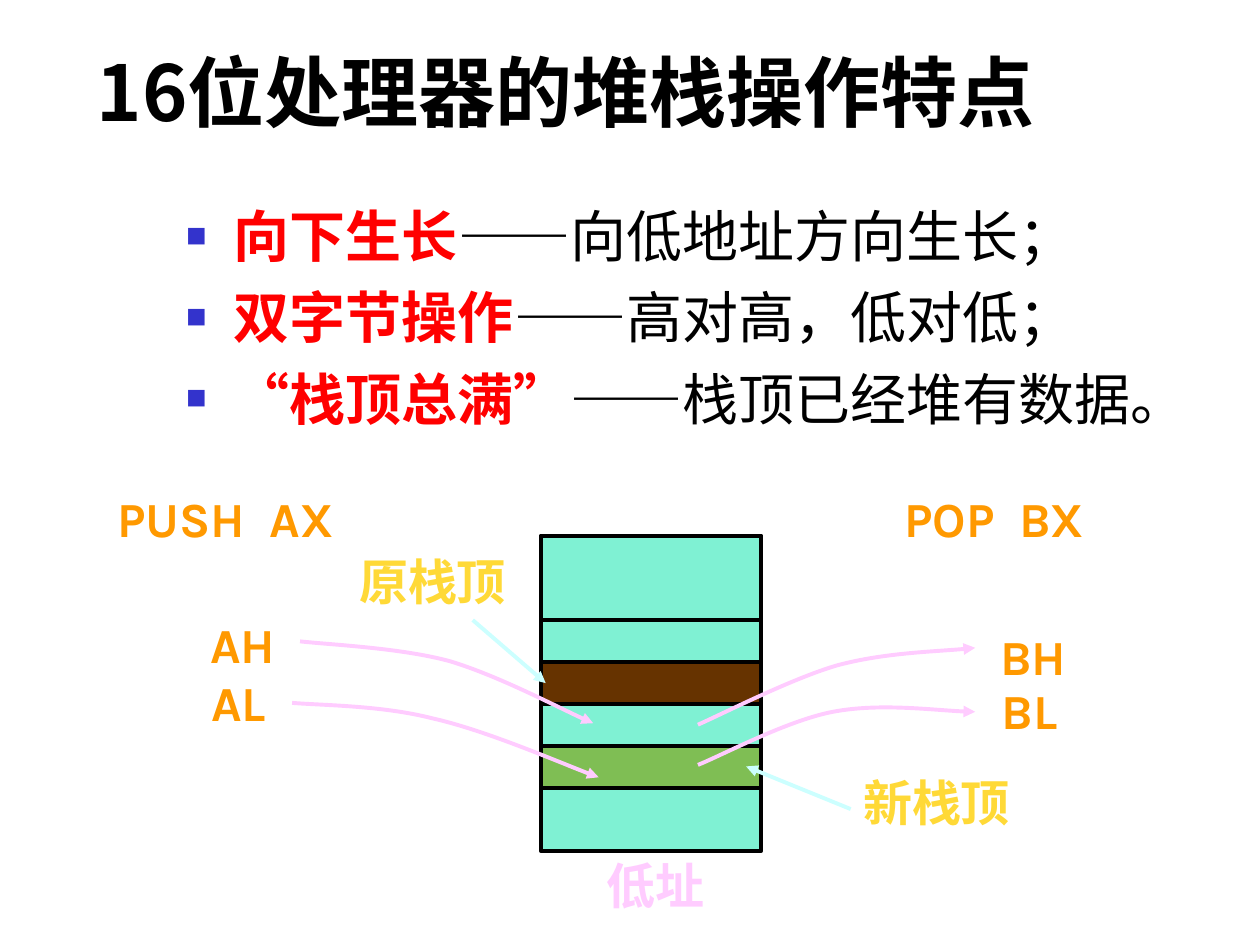
from dataclasses import dataclass

from lxml.etree import SubElement
from pptx import Presentation
from pptx.dml.color import RGBColor
from pptx.enum.shapes import MSO_CONNECTOR as Connector, MSO_SHAPE as Shape
from pptx.enum.text import MSO_ANCHOR as Anchor, MSO_AUTO_SIZE as AutoSize, PP_ALIGN as Align
from pptx.oxml.ns import qn
from pptx.util import Cm, Pt


@dataclass(frozen=True)
class Theme:
    latin: str = "Karla"
    asian: str = "Noto Sans CJK SC"
    title_size: int = 44
    list_size: int = 32
    label_size: int = 28
    bullet_percent: int = 37
    line_width: float = 2.25
    ink: str = "000000"
    key: str = "FF0000"
    bullet: str = "3333CC"
    register: str = "FF9900"
    pointer: str = "FFD937"
    pointer_line: str = "CCFFFF"
    flow: str = "FFCCFF"
    memory: str = "00E4A8"
    old_top: str = "663300"
    new_top: str = "FF9900"


THEME = Theme()


def colour(value):
    return RGBColor.from_string(value)


def set_font(font, size, value, bold, latin=THEME.latin):
    font.size, font.bold, font.name = Pt(size), bold, latin
    font.color.rgb = colour(value)
    latin_tag = font._element.find(qn("a:latin"))
    asian_tag = SubElement(font._element, qn("a:ea"), typeface=THEME.asian)
    latin_tag.addnext(asian_tag)


def place(shape, left, top, width, height):
    shape.left, shape.top, shape.width, shape.height = map(Cm, (left, top, width, height))


def style_line(shape, value, arrow=False):
    shape.line.color.rgb = colour(value)
    shape.line.width = Pt(THEME.line_width)
    if arrow:
        SubElement(shape.line._get_or_add_ln(), qn("a:tailEnd"), type="triangle")


def add_line(page, start, end, value, arrow=False):
    line = page.shapes.add_connector(Connector.STRAIGHT, *map(Cm, (*start, *end)))
    style_line(line, value, arrow)
    SubElement(line._element.spPr, qn("a:effectLst"))


def add_cell(page, box, fill, alpha=None):
    cell = page.shapes.add_shape(Shape.RECTANGLE, *map(Cm, box))
    cell.shadow.inherit = False
    cell.fill.solid()
    cell.fill.fore_color.rgb = colour(fill)
    if alpha:
        fill_tag = cell._element.spPr.find(qn("a:solidFill"))
        SubElement(fill_tag[0], qn("a:alpha"), val=str(alpha * 1000))
    style_line(cell, THEME.ink)


def add_curve(page, points):
    """Draw a Bezier arrow: a start point, then triples of control, control, end."""
    start, *rest = [(Cm(x), Cm(y)) for x, y in points]
    builder = page.shapes.build_freeform(*start)
    builder.add_line_segments(rest, close=False)
    curve = builder.convert_to_shape()
    outline = next(curve._element.iter(qn("a:path")))
    steps = outline.findall(qn("a:lnTo"))
    for first in range(0, len(steps), 3):
        bend = SubElement(outline, qn("a:cubicBezTo"))
        for step in steps[first:first + 3]:
            bend.append(step[0])
            outline.remove(step)
    curve.shadow.inherit = False
    curve.fill.background()
    style_line(curve, THEME.flow, arrow=True)


def add_label(page, text, left, top, width, value, align=Align.LEFT, wrap=True):
    label = page.shapes.add_textbox(*map(Cm, (left, top, width, 1.45)))
    frame = label.text_frame
    frame.word_wrap = wrap
    para = frame.paragraphs[0]
    para.alignment = align
    para.add_run().text = text
    set_font(para.font, THEME.label_size, value, True)


def fill_title(page, box, text):
    title = page.shapes.title
    place(title, *box)
    frame = title.text_frame
    frame.vertical_anchor, frame.auto_size = Anchor.BOTTOM, AutoSize.NONE
    para = frame.paragraphs[0]
    para.alignment, para.line_spacing = Align.LEFT, 1.7
    para.add_run().text = text
    set_font(para.font, THEME.title_size, THEME.ink, True, THEME.asian)


def fill_list(page, box, items):
    body = page.placeholders[1]
    place(body, *box)
    frame = body.text_frame
    frame.auto_size = AutoSize.NONE
    for index, (key, rest) in enumerate(items):
        para = frame.add_paragraph() if index else frame.paragraphs[0]
        para.space_before = Pt(8 if index else 0)
        # Small square bullet with a hanging indent
        props = para._p.get_or_add_pPr()
        props.set("marL", str(Cm(0.95)))
        props.set("indent", str(Cm(-0.95)))
        SubElement(SubElement(props, qn("a:buClr")), qn("a:srgbClr"), val=THEME.bullet)
        SubElement(props, qn("a:buSzPct"), val=str(THEME.bullet_percent * 1000))
        SubElement(props, qn("a:buFont"), typeface=THEME.asian)
        SubElement(props, qn("a:buChar"), char="■")
        for text, value, bold in ((key, THEME.key, True), (rest, THEME.ink, False)):
            span = para.add_run()
            span.text = text
            set_font(span.font, THEME.list_size, value, bold)


def draw_stack(page, left, top, width, height):
    """Memory column; one byte is 2/15 of its height."""
    byte = height * 2 / 15
    old_top, new_top = top + height * 0.4, top + height * 2 / 3
    add_cell(page, (left, new_top, width, byte), THEME.new_top)
    add_cell(page, (left, top, width, height), THEME.memory, alpha=50)
    for y in (new_top, old_top - byte, new_top + byte):
        add_line(page, (left, y), (left + width, y), THEME.ink)
    add_cell(page, (left, old_top, width, byte), THEME.old_top)
    add_label(page, "低址", left + 0.4, top + height - 0.03, 3.81, THEME.flow, Align.CENTER)
    # Pointers to the old and the new top of the stack
    add_label(page, "原栈顶", left - 3.91, top + 0.2, 3.81, THEME.pointer)
    add_line(page, (left - 1.37, top + 1.7), (left + 0.1, top + 2.97), THEME.pointer_line, True)
    add_label(page, "新栈顶", left + 6.25, top + 4.65, 3.81, THEME.pointer)
    add_line(page, (left + 6.25, top + 5.51), (left + 4.14, top + 4.65), THEME.pointer_line, True)


def draw_transfer(page, left, top, command, registers, curves):
    """Command heading, its two register halves and the byte flows."""
    add_label(page, command, left, top, 7.19, THEME.register)
    for name, x, y in registers:
        add_label(page, name, left + x, top + y, 1.9, THEME.register, wrap=False)
    for points in curves:
        add_curve(page, [(left + x, top + y) for x, y in points])


def main():
    deck = Presentation()
    deck.slide_width, deck.slide_height = Cm(25.4), Cm(19.05)
    page = deck.slides.add_slide(deck.slide_layouts[1])
    fill_title(page, (1.7, 0.71, 21.59, 2.18), "16位处理器的堆栈操作特点")
    fill_list(page, (3.51, 3.94, 20.8, 12.17), [
        ("向下生长", "——向低地址方向生长；"),
        ("双字节操作", "——高对高，低对低；"),
        ("“栈顶总满”", "——栈顶已经堆有数据。"),
    ])
    draw_stack(page, 10.9, 10.8, 4.45, 6.35)
    draw_transfer(page, 2.11, 9.73, "PUSH  AX", [("AH", 1.88, 2.54), ("AL", 1.9, 3.71)], [
        [(3.94, 3.2), (4.57, 3.27), (5.97, 3.33), (6.96, 3.6),
         (7.92, 3.89), (9.37, 4.65), (9.85, 4.85)],
        [(3.78, 4.44), (4.37, 4.49), (5.59, 4.49), (6.6, 4.75),
         (7.64, 4.98), (9.4, 5.74), (9.96, 5.94)],
    ])
    draw_transfer(page, 17.98, 9.73, "POP  BX", [("BH", 1.93, 2.77), ("BL", 1.96, 3.86)], [
        [(-3.91, 4.88), (-3.43, 4.67), (-2, 3.94), (-1.09, 3.68),
         (-0.15, 3.43), (1.1, 3.4), (1.68, 3.33)],
        [(-3.91, 5.69), (-3.45, 5.51), (-2.13, 4.8), (-1.19, 4.62),
         (-0.25, 4.44), (1.1, 4.62), (1.68, 4.62)],
    ])
    deck.save("out.pptx")


if __name__ == "__main__":
    main()
